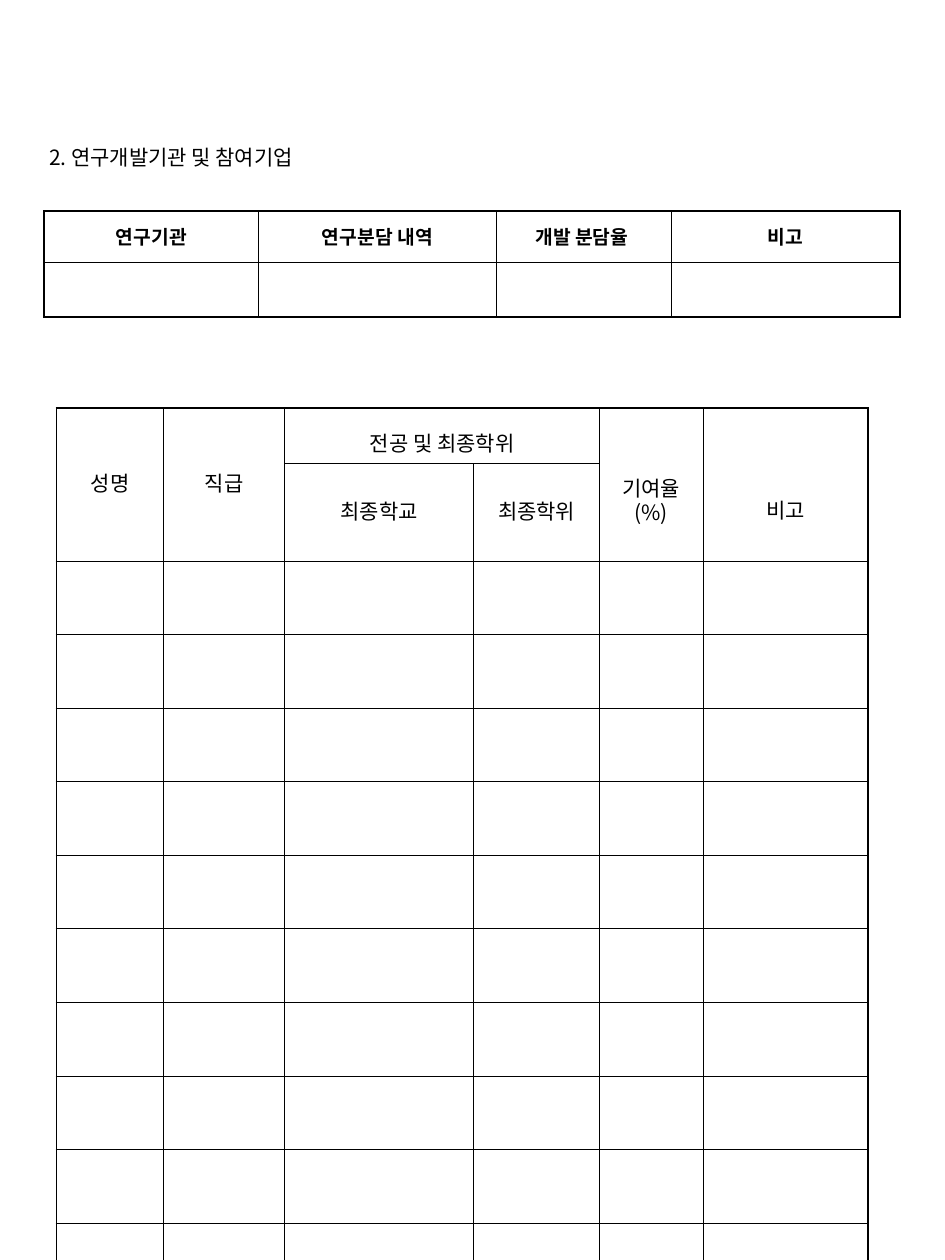
import pptx
import pptx.dml.color
import pptx.enum.text
import pptx.util
from lxml import etree
from pptx.oxml.ns import qn

Cm = pptx.util.Cm
Pt = pptx.util.Pt
COLOURS = {"ink": "000000"}
FONT = "Noto Sans CJK KR"
THIN, THICK = 0.45, 1.08


class Form:
    def __init__(self, slide):
        self.slide = slide

    def style(self, paragraph, size, bold=False):
        paragraph.font.size = Pt(size)
        paragraph.font.bold = bold
        paragraph.font.name = FONT
        paragraph.font.color.rgb = pptx.dml.color.RGBColor.from_string(COLOURS["ink"])
        self.east_asian(paragraph.font._element)

    def east_asian(self, properties):
        etree.SubElement(properties, qn("a:ea"), typeface=FONT)

    def heading(self, text, left, top, width, height):
        frame = self.slide.shapes.add_textbox(Cm(left), Cm(top), Cm(width), Cm(height)).text_frame
        frame.word_wrap = False
        frame.auto_size = pptx.enum.text.MSO_AUTO_SIZE.SHAPE_TO_FIT_TEXT
        frame.text = text
        self.style(frame.paragraphs[0], 12)

    def table(self, left, top, columns, rows, header_rows, empty_size):
        """Add a ruled table; empty_size is the type size kept in its blank cells."""
        table = self.slide.shapes.add_table(
            len(rows), len(columns), Cm(left), Cm(top), Cm(sum(columns)), Cm(sum(rows))).table
        table.first_row = table.horz_banding = False
        for column, width in zip(table.columns, columns):
            column.width = Cm(width)
        for row, height in zip(table.rows, rows):
            row.height = Cm(height)
        for i in range(len(rows)):
            for j in range(len(columns)):
                cell = table.cell(i, j)
                cell.fill.background()
                self.borders(cell, {
                    "L": j == 0, "R": j == len(columns) - 1,
                    "T": i == 0, "B": i == len(rows) - 1})
                if i >= header_rows:
                    self.blank(cell, empty_size)
        return table

    def borders(self, cell, outer):
        """Rule each side of a cell, thick where the side is on the table's edge."""
        properties = cell._tc.get_or_add_tcPr()
        for index, (side, is_outer) in enumerate(outer.items()):
            line = etree.Element(qn("a:ln" + side), w=str(Pt(THICK if is_outer else THIN)))
            fill = etree.SubElement(line, qn("a:solidFill"))
            etree.SubElement(fill, qn("a:srgbClr"), val=COLOURS["ink"])
            properties.insert(index, line)

    def blank(self, cell, size):
        paragraph = cell.text_frame.paragraphs[0]._p
        end = etree.SubElement(paragraph, qn("a:endParaRPr"), sz=str(size * 100))
        etree.SubElement(end, qn("a:latin"), typeface=FONT)
        self.east_asian(end)

    def label(self, cell, text, size, spacing, bold=False, margin_top=0.13):
        cell.text = text
        cell.vertical_anchor = pptx.enum.text.MSO_ANCHOR.MIDDLE
        cell.margin_top = Cm(margin_top)
        paragraph = cell.text_frame.paragraphs[0]
        paragraph.alignment = pptx.enum.text.PP_ALIGN.CENTER
        paragraph.line_spacing = spacing
        self.style(paragraph, size, bold)


def main():
    deck = pptx.Presentation()
    deck.slide_width, deck.slide_height = Cm(19.05), Cm(25.4)
    form = Form(deck.slides.add_slide(deck.slide_layouts[6]))

    people = form.table(1.14, 8.23, [2.16, 2.44, 3.81, 2.54, 2.08, 3.33],
                        [0.97, 1.96] + [0.99] * 12, header_rows=2, empty_size=24)
    for column in (0, 1, 4, 5):
        people.cell(0, column).merge(people.cell(1, column))
    people.cell(0, 2).merge(people.cell(0, 3))
    for row, column, text, spacing, margin_top in [
        (0, 0, "성명", 0.8, 0.13),
        (0, 1, "직급", 0.8, 0.13),
        (0, 2, "전공 및 최종학위", 1.4, 0.13),
        (0, 4, "기여율(%)", 0.8, 0.8),
        (0, 5, "비고", 1.5, 0.8),
        (1, 2, "최종학교", 0.8, 0.13),
        (1, 3, "최종학위", 0.8, 0.13),
    ]:
        form.label(people.cell(row, column), text, 12, spacing, margin_top=margin_top)

    form.heading("2. 연구개발기관 및 참여기업", 0.74, 2.79, 5.64, 0.76)

    institutes = form.table(0.89, 4.26, [4.32, 4.8, 3.53, 4.6],
                            [1.03, 1.09], header_rows=1, empty_size=20)
    for column, text in enumerate(["연구기관", "연구분담 내역", "개발 분담율 ", "비고"]):
        form.label(institutes.cell(0, column), text, 11, 0.9, bold=True)

    deck.save("out.pptx")


if __name__ == "__main__":
    main()
